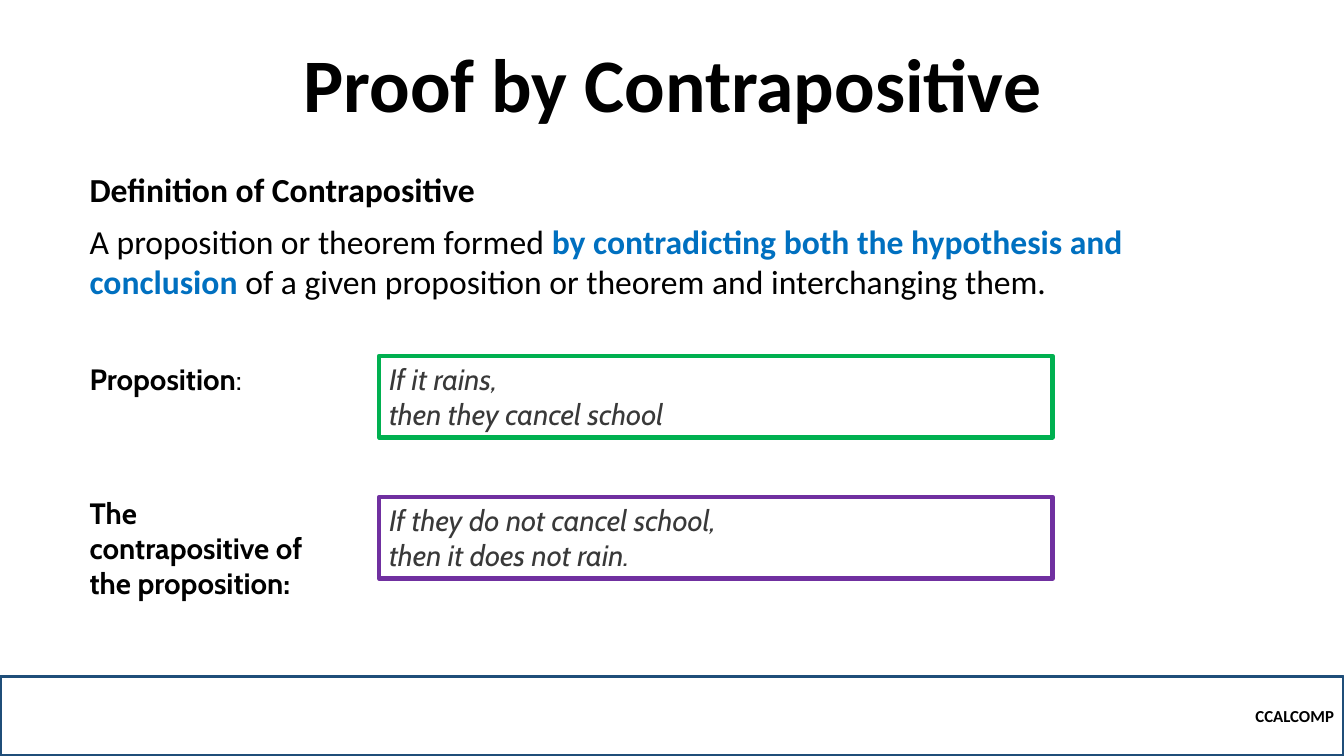
import pptx
import pptx.util
import pptx.dml.color
import pptx.enum.shapes
import pptx.enum.text

Inches = pptx.util.Inches
Pt = pptx.util.Pt
ALIGN = pptx.enum.text.PP_ALIGN
ANCHOR = pptx.enum.text.MSO_ANCHOR


def rgb(value):
    return pptx.dml.color.RGBColor.from_string(value)


def write(p, text, size=24, font="Calibri", color="000000", bold=False, italic=False, align=ALIGN.LEFT):
    p.alignment = align
    r = p.add_run()
    r.text = text
    r.font.size = Pt(size)
    r.font.name = font
    r.font.bold = bold
    r.font.italic = italic
    r.font.color.rgb = rgb(color)


prs = pptx.Presentation()
prs.slide_width = Inches(13.33)
prs.slide_height = Inches(7.5)
s = prs.slides.add_slide(prs.slide_layouts[5])

title = s.shapes.title
title.left, title.top, title.width, title.height = [Inches(v) for v in (1.67, 0.54, 10, 0.79)]
tf = title.text_frame
tf.word_wrap = True
tf.auto_size = pptx.enum.text.MSO_AUTO_SIZE.NONE
tf.vertical_anchor = ANCHOR.BOTTOM
tf.paragraphs[0].line_spacing = 0.9
write(tf.paragraphs[0], "Proof by Contrapositive", size=54, bold=True, align=ALIGN.CENTER)

label = {"size": 21, "font": "Cabin"}
texts = [
    (1.63, 4.16, 0.5, [("Definition of Contrapositive", {"bold": True})]),
    (2.14, 11.28, 0.91, [
        ("A proposition or theorem formed ", {}),
        ("by\u00a0contradicting both the hypothesis and conclusion", {"color": "0070C0", "bold": True}),
        (" of a given proposition or theorem and interchanging them.", {}),
    ]),
    (3.53, 2.84, 0.45, [("Proposition", {"bold": True, **label}), (":", label)]),
    (4.86, 2.42, 1.16, [("The contrapositive of the proposition:", {"bold": True, **label})]),
]
for top, width, height, runs in texts:
    sp = s.shapes.add_textbox(Inches(0.79), Inches(top), Inches(width), Inches(height))
    tf = sp.text_frame
    tf.word_wrap = True
    for text, style in runs:
        write(tf.paragraphs[0], text, **style)

statement = {"color": "393939", "italic": True, **label}
footer = {"size": 12, "bold": True, "align": ALIGN.RIGHT}
boxes = [
    (0, 6.71, 13.33, 0.79, "1F4E79", 2.25, ANCHOR.MIDDLE, ["CCALCOMP"], footer),
    (3.76, 3.53, 6.68, 0.81, "00B050", 3, ANCHOR.TOP,
     ["If it rains,", "then they cancel school"], statement),
    (3.76, 4.93, 6.68, 0.81, "7030A0", 3, ANCHOR.TOP,
     ["If they do not cancel school,", "then it does not rain."], statement),
]
for left, top, width, height, color, weight, anchor, lines, style in boxes:
    sp = s.shapes.add_shape(pptx.enum.shapes.MSO_SHAPE.RECTANGLE,
                            Inches(left), Inches(top), Inches(width), Inches(height))
    sp.shadow.inherit = False
    sp.fill.background()
    sp.line.color.rgb = rgb(color)
    sp.line.width = Pt(weight)
    tf = sp.text_frame
    tf.word_wrap = True
    tf.vertical_anchor = anchor
    for i, text in enumerate(lines):
        p = tf.add_paragraph() if i else tf.paragraphs[0]
        write(p, text, **style)

prs.save("out.pptx")
